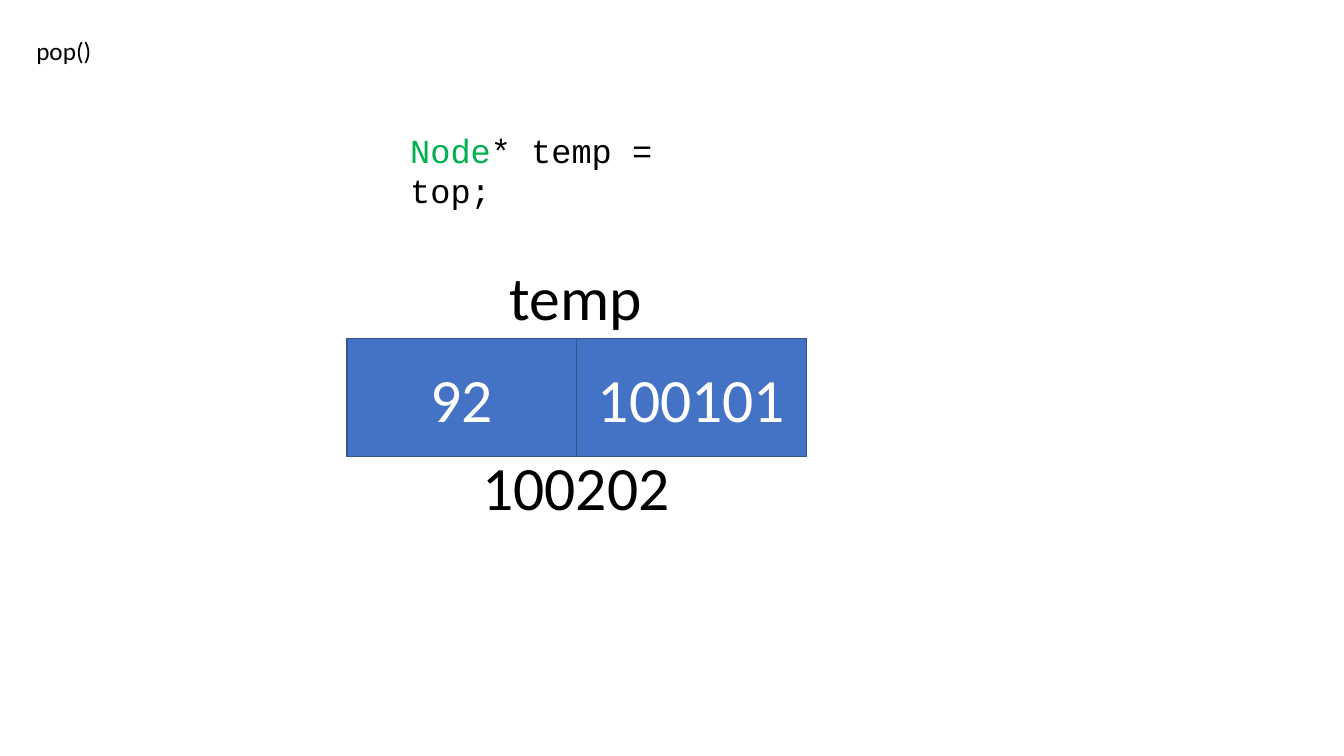
from dataclasses import dataclass

from pptx import Presentation
from pptx.dml.color import RGBColor
from pptx.enum.shapes import MSO_SHAPE
from pptx.enum.text import MSO_ANCHOR, MSO_AUTO_SIZE, PP_ALIGN
from pptx.util import Inches, Pt

RECTANGLE = MSO_SHAPE.RECTANGLE
TOP, MIDDLE = MSO_ANCHOR.TOP, MSO_ANCHOR.MIDDLE
LEFT, CENTER = PP_ALIGN.LEFT, PP_ALIGN.CENTER
GROW = MSO_AUTO_SIZE.SHAPE_TO_FIT_TEXT
NO_FIT = MSO_AUTO_SIZE.NONE
TITLE_ONLY = 5


@dataclass(frozen=True)
class Theme:
    ink: str = "000000"
    type_name: str = "00B050"
    cell: str = "4472C4"
    cell_edge: str = "325491"
    cell_text: str = "FFFFFF"
    body_font: str = "Calibri"
    code_font: str = "Courier New"
    title_size: int = 18
    code_size: int = 24
    node_size: int = 44


THEME = Theme()


def write(shape, *runs, size, font=THEME.body_font, align=LEFT, anchor=TOP,
          wrap=True, fit=GROW):
    """Fill one paragraph with (text, colour) runs."""
    frame = shape.text_frame
    frame.word_wrap = wrap
    frame.auto_size = fit
    frame.vertical_anchor = anchor
    for side in ("left", "right"):
        setattr(frame, f"margin_{side}", Inches(0.1))
    for side in ("top", "bottom"):
        setattr(frame, f"margin_{side}", Inches(0.05))
    paragraph = frame.paragraphs[0]
    paragraph.alignment = align
    for text, color in runs:
        run = paragraph.add_run()
        run.text = text
        run.font.name = font
        run.font.size = Pt(size)
        run.font.color.rgb = RGBColor.from_string(color)


def add_title(slide, box, text):
    title = slide.shapes.title
    title.left, title.top, title.width, title.height = map(Inches, box)
    write(title, (text, THEME.ink), size=THEME.title_size)


def add_code(slide, box, *runs):
    code = slide.shapes.add_textbox(*map(Inches, box))
    write(code, *runs, size=THEME.code_size, font=THEME.code_font)


def add_node(slide, box, values, name, address):
    """Draw equal cells across the box, the name above and the address below."""
    left, top, width, height = box
    cell_width = width / len(values)
    for column, value in enumerate(values):
        cell = slide.shapes.add_shape(
            RECTANGLE, Inches(left + column * cell_width), Inches(top),
            Inches(cell_width), Inches(height))
        cell.shadow.inherit = False
        cell.fill.solid()
        cell.fill.fore_color.rgb = RGBColor.from_string(THEME.cell)
        cell.line.color.rgb = RGBColor.from_string(THEME.cell_edge)
        cell.line.width = Pt(1)
        write(cell, (value, THEME.cell_text), size=THEME.node_size,
              align=CENTER, anchor=MIDDLE, fit=NO_FIT)

    label_height = 0.84
    labels = (
        (name, 1.53, top - label_height, False),
        (address, 2.07, top + height - 0.13, True),
    )
    for text, label_width, label_top, wrap in labels:
        label_left = left + (width - label_width) / 2
        label = slide.shapes.add_textbox(
            *map(Inches, (label_left, label_top, label_width, label_height)))
        write(label, (text, THEME.ink), size=THEME.node_size, wrap=wrap)


def main():
    deck = Presentation()
    deck.slide_width, deck.slide_height = Inches(13.33), Inches(7.5)
    slide = deck.slides.add_slide(deck.slide_layouts[TITLE_ONLY])
    add_title(slide, (0.26, 0.3, 1.64, 0.4), "pop()")
    add_code(slide, (3.97, 1.24, 3.49, 0.5),
             ("Node", THEME.type_name), ("* temp = top;", THEME.ink))
    add_node(slide, (3.44, 3.36, 4.56, 1.17), ("92", "100101"),
             name="temp", address="100202")
    deck.save("out.pptx")


if __name__ == "__main__":
    main()
